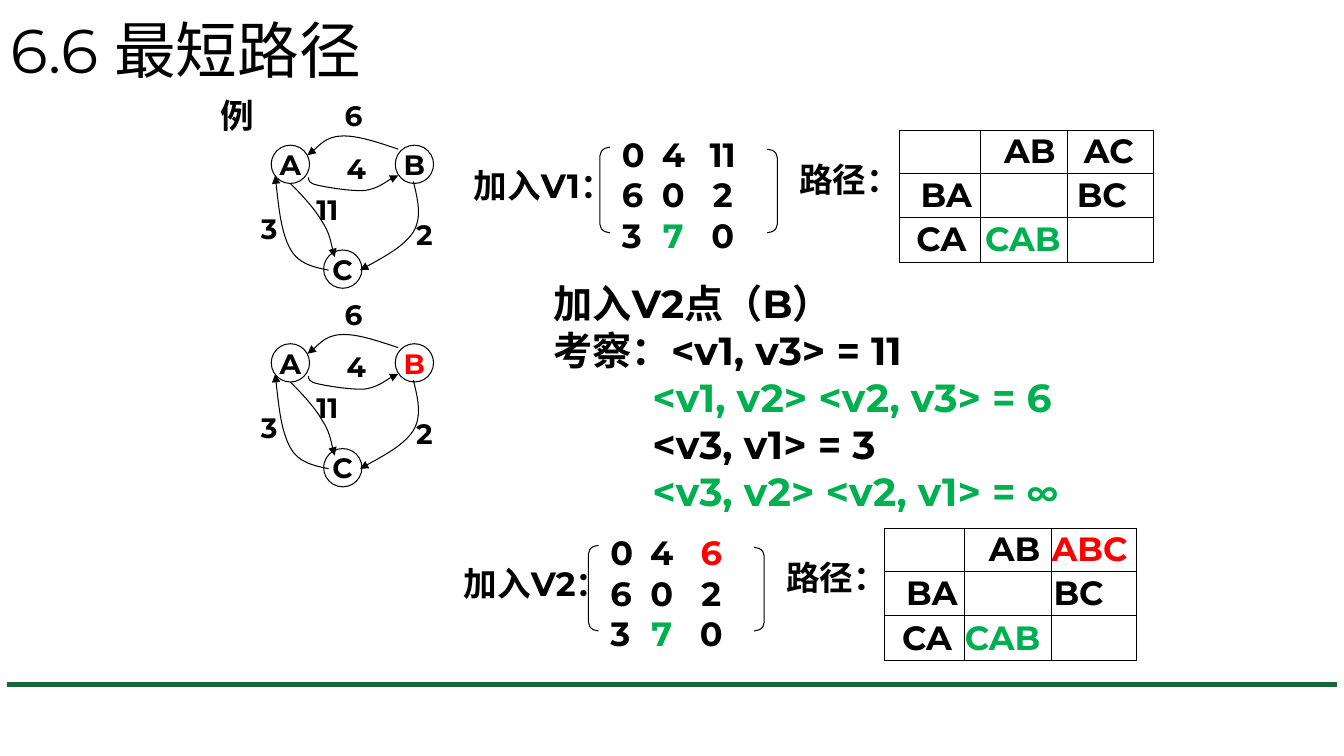
from pptx import Presentation
from pptx import util as u
from pptx.dml.color import RGBColor
from pptx.enum import shapes, text
from pptx.oxml import ns
from lxml import etree

I = u.Inches


class Theme:
    font = "Montserrat"
    ink, red, green, rule = "000000", "FF0000", "00B050", "166936"
    title, steps, body, node = 44, 28, 24, 20
    thin, thick = 0.75, 3.75


T = Theme

# Content: a text run is a string or a (string, colour, size) tuple
TITLE = "6.6 最短路径"
STEPS = [  # (indent, runs)
    (0, ["加入V2点（B）"]),
    (0, ["考察：<v1, v3> = 11"]),
    (0.98, [("<v1, v2> <v2, v3> = 6", T.green)]),
    (0.98, ["<v3, v1> = 3"]),
    (0.98, [("<v3, v2> <v2, v1> = ", T.green), ("∞", T.green, T.body)]),
]
GRAPHS = [(0, T.ink), (1.97, T.red)]  # (shift down, colour of B)
NODES = {"A": (2.69, 1.44), "C": (3.21, 2.48), "B": (3.92, 1.44)}
WEIGHTS = [("2", 4.03, 2.11), ("6", 3.32, 0.93), ("4", 3.34, 1.45),
           ("3", 2.49, 2.05), ("11", 3.04, 1.86)]
EDGES = [  # start, then control, control, end for each curve
    [(3.06, 1.76), (3.06, 1.79), (3.06, 1.82), (3.16, 1.84), (3.25, 1.86), (3.49, 1.9),
     (3.62, 1.89), (3.75, 1.87), (3.9, 1.75), (3.95, 1.74)],
    [(3.95, 1.48), (3.74, 1.41), (3.54, 1.34), (3.38, 1.35), (3.23, 1.36), (3.1, 1.51),
     (3.05, 1.54)],
    [(2.88, 1.82), (3, 1.94), (3.12, 2.07), (3.19, 2.19), (3.27, 2.31), (3.3, 2.49),
     (3.32, 2.55)],
    [(3.26, 2.68), (3.11, 2.65), (2.96, 2.62), (2.88, 2.47), (2.79, 2.31), (2.76, 2.02),
     (2.73, 1.74)],
    [(4.1, 1.8), (4.14, 1.97), (4.19, 2.15), (4.1, 2.3), (4.01, 2.44), (3.79, 2.56),
     (3.57, 2.68)],
]
ROUNDS = [
    dict(left=4.6, down=0, scale=1, label="加入V1：",
         matrix=[["0", "4", "11"], ["6", "0", "2"], ["3", ("7", T.green), "0"]],
         routes=[["", "AB", "AC"], ["BA", "", "BC"], ["CA", ("CAB", T.green), ""]],
         insets=[[0, 0.24, 0.16], [0.21, 0, 0.09], [0.17, 0.05, 0]]),
    dict(left=4.5, down=3.95, scale=0.99, label="加入V2：",
         matrix=[["0", "4", ("6", T.red)], ["6", "0", "2"], ["3", ("7", T.green), "0"]],
         routes=[["", "AB", ("ABC", T.red)], ["BA", "", "BC"], ["CA", ("CAB", T.green), ""]],
         insets=[[0, 0.24, 0], [0.21, 0, 0.02], [0.17, 0, 0]]),
]
COLS, ROWS = (0.8, 0.87, 0.85), (0.43, 0.44, 0.44)
TABS = (0.51, 1.0)


def rgb(c):
    return RGBColor.from_string(c)


def write(tf, paras, size=T.body, bold=True, color=T.ink, wrap=False, align=None, anchor=None):
    """Fill a text frame; each paragraph is a list of runs."""
    tf.word_wrap = wrap
    tf.auto_size = text.MSO_AUTO_SIZE.NONE
    if anchor is not None:
        tf.vertical_anchor = anchor
    for i, runs in enumerate(paras):
        p = tf.paragraphs[0] if i == 0 else tf.add_paragraph()
        p.alignment = align
        for run in runs:
            words, c, pt = (((run,) if isinstance(run, str) else run) + (None, None))[:3]
            r = p.add_run()
            r.text = words
            r.font.name, r.font.size, r.font.bold = T.font, u.Pt(pt or size), bold
            r.font.color.rgb = rgb(c or color)


def box(x, y, w, h, paras, **fmt):
    tf = s.shapes.add_textbox(I(x), I(y), I(w), I(h)).text_frame
    write(tf, paras, **fmt)
    return tf


def outline(sp):
    sp.shadow.inherit = False
    sp.fill.background()
    sp.line.color.rgb, sp.line.width = rgb(T.ink), u.Pt(T.thin)


def preset(kind, x, y, w, h):
    sp = s.shapes.add_shape(kind, I(x), I(y), I(w), I(h))
    outline(sp)
    return sp


def sub(parent, tag, **attrs):
    return etree.SubElement(parent, ns.qn(tag), attrs)


def curve(points):
    """Open path through Bézier curves, with an arrowhead at its end."""
    pts = [(I(x), I(y)) for x, y in points]
    fb = s.shapes.build_freeform(*pts[0])
    fb.add_line_segments(pts[1:], close=False)
    sp = fb.convert_to_shape()
    outline(sp)
    lines = list(sp._element.iter(ns.qn("a:lnTo")))
    for i in range(0, len(lines), 3):
        bez = sub(lines[i].getparent(), "a:cubicBezTo")
        for ln in lines[i:i + 3]:
            bez.append(ln[0])
            ln.getparent().remove(ln)
    sub(sp.line._get_or_add_ln(), "a:tailEnd", type="triangle")


def graph(down, b_color):
    for name, (x, y) in NODES.items():
        sp = preset(shapes.MSO_SHAPE.OVAL, x, y + down, 0.38, 0.38)
        write(sp.text_frame, [[name]], size=T.node, color=b_color if name == "B" else T.ink,
              align=text.PP_ALIGN.CENTER, anchor=text.MSO_ANCHOR.MIDDLE)
    for points in EDGES:
        curve([(x, y + down) for x, y in points])
    for weight, x, y in WEIGHTS:
        box(x, y + down, 0.58 if len(weight) > 1 else 0.39, 0.44, [[weight]], size=T.node)


def route_table(x, y, scale, routes, insets):
    widths = [w * scale for w in COLS]
    tbl = s.shapes.add_table(3, 3, I(x), I(y), I(sum(widths)), I(sum(ROWS))).table
    tbl.first_row = tbl.horz_banding = False
    for i in range(3):
        tbl.columns[i].width, tbl.rows[i].height = I(widths[i]), I(ROWS[i])
    for i, row in enumerate(routes):
        for j, route in enumerate(row):
            cell = tbl.cell(i, j)
            cell.margin_left = I(insets[i][j])
            cell.margin_right = cell.margin_top = cell.margin_bottom = 0
            cell.vertical_anchor = text.MSO_ANCHOR.MIDDLE
            if route:
                write(cell.text_frame, [[route]])
            for side in "LRTB":
                ln = sub(cell._tc.get_or_add_tcPr(), "a:ln" + side, w=str(u.Pt(T.thin)))
                sub(sub(ln, "a:solidFill"), "a:srgbClr", val=T.ink)
            cell.fill.background()


def floyd_round(left, down, scale, label, matrix, routes, insets):
    def at(x):
        return left + (x - 4.6) * scale

    # Matrix, its columns centred on tab stops
    rows = [[row[0], "\t", row[1], "\t", row[2]] for row in matrix]
    tf = box(at(6.07), 1.28 + down, 1.55, 1.31, rows, wrap=True)
    for p in tf.paragraphs:
        tabs = sub(p._p.get_or_add_pPr(), "a:tabLst")
        for stop in TABS:
            sub(tabs, "a:tab", pos=str(I(stop)), algn="ctr")
    # Brackets
    for kind, x, y, h, bend in ((shapes.MSO_SHAPE.LEFT_BRACKET, 5.95, 1.46, 0.85, 0.87),
                                (shapes.MSO_SHAPE.RIGHT_BRACKET, 7.61, 1.48, 0.83, 0.85)):
        preset(kind, at(x), y + down, 0.1, h).adjustments[0] = bend
    # Labels and route table
    box(at(4.6), 1.59 + down, 1.68 * scale, 0.5, [[label]], wrap=True)
    box(at(7.83), 1.53 + down, 1.21, 0.5, [["路径："]])
    route_table(at(8.92), 1.29 + down, scale, routes, insets)


prs = Presentation()
prs.slide_width, prs.slide_height = I(13.33), I(7.5)
s = prs.slides.add_slide(prs.slide_layouts[1])
title, steps = s.placeholders

# Footer rule
rule = s.shapes.add_connector(shapes.MSO_CONNECTOR.STRAIGHT, I(0.07), I(6.79), I(13.26), I(6.79))
rule.line.color.rgb, rule.line.width = rgb(T.rule), u.Pt(T.thick)
sub(rule._element.spPr, "a:effectLst")

# Title
title.left, title.top, title.width, title.height = 0, 0, I(11.5), I(1.06)
write(title.text_frame, [[TITLE]], size=T.title, bold=False, wrap=True,
      align=text.PP_ALIGN.LEFT, anchor=text.MSO_ANCHOR.MIDDLE)
title.text_frame.paragraphs[0].line_spacing = 0.9

# Reasoning steps
steps.left, steps.top, steps.width, steps.height = I(5.39), I(2.72), I(7.03), I(2.46)
write(steps.text_frame, [runs for _, runs in STEPS], size=T.steps, wrap=True)
for p, (indent, _) in zip(steps.text_frame.paragraphs, STEPS):
    p.space_before = u.Pt(0)
    pPr = p._p.get_or_add_pPr()
    pPr.set("marL", str(I(indent)))
    pPr.set("indent", "0")
    sub(pPr, "a:buNone")

# Graphs, then the matrix and routes of each round
box(2.09, 0.89, 0.54, 0.51, [["例"]])
for down, b_color in GRAPHS:
    graph(down, b_color)
for part in ROUNDS:
    floyd_round(**part)

prs.save("out.pptx")
